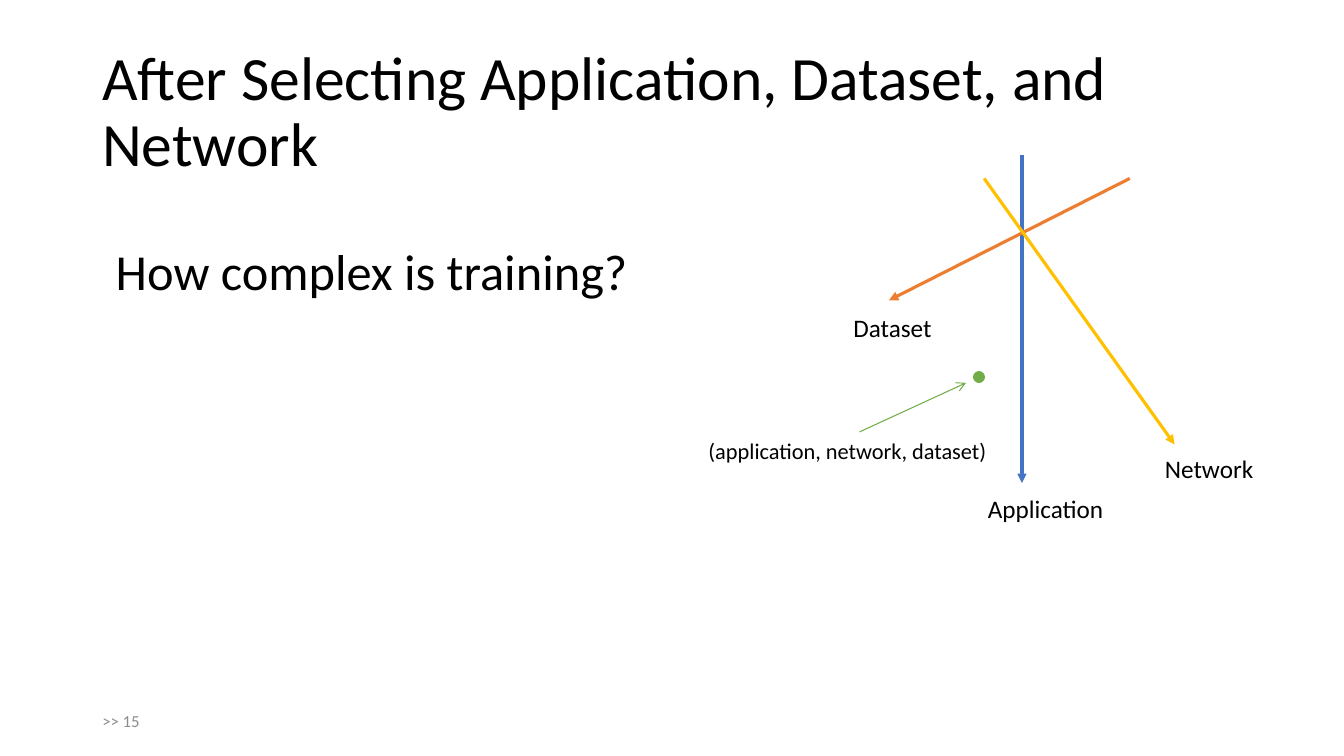
"""Build a slide showing application, dataset and network as three axes."""
from lxml import etree
from pptx import Presentation
from pptx.dml.color import RGBColor
from pptx.enum import shapes, text
from pptx.oxml import ns
from pptx.util import Pt

BLACK = RGBColor(0x00, 0x00, 0x00)
GRAY = RGBColor(0x8C, 0x8C, 0x8C)
BLUE = RGBColor(0x44, 0x72, 0xC4)
ORANGE = RGBColor(0xED, 0x7D, 0x31)
GOLD = RGBColor(0xFF, 0xC0, 0x00)
GREEN = RGBColor(0x70, 0xAD, 0x47)


class Deck:
    font = "Calibri"

    def __init__(self, width, height):
        self.prs = Presentation()
        self.prs.slide_width, self.prs.slide_height = Pt(width), Pt(height)
        self.s = self.prs.slides.add_slide(self.prs.slide_layouts[6])

    def text(self, words, box, size=18, color=BLACK, spacing=1.0,
             anchor=text.MSO_ANCHOR.TOP):
        tf = self.s.shapes.add_textbox(*map(Pt, box)).text_frame
        tf.word_wrap = True
        tf.vertical_anchor = anchor
        p = tf.paragraphs[0]
        p.line_spacing = spacing
        r = p.add_run()
        r.text = words
        r.font.name, r.font.size = self.font, Pt(size)
        r.font.color.rgb = color

    def arrow(self, start, end, color, width=2.25, head="triangle"):
        sp = self.s.shapes.add_connector(
            shapes.MSO_CONNECTOR.STRAIGHT, *map(Pt, start + end))
        sp.line.color.rgb = color
        sp.line.width = Pt(width)
        ln = sp.line._get_or_add_ln()
        etree.SubElement(ln, ns.qn("a:tailEnd"), type=head)
        etree.SubElement(sp._element.spPr, ns.qn("a:effectLst"))

    def dot(self, box, color):
        sp = self.s.shapes.add_shape(
            shapes.MSO_SHAPE.FLOWCHART_CONNECTOR, *map(Pt, box))
        sp.shadow.inherit = False
        sp.fill.solid()
        sp.fill.fore_color.rgb = color
        sp.line.fill.background()


def main():
    d = Deck(960, 540)
    middle = text.MSO_ANCHOR.MIDDLE
    d.text("After Selecting Application, Dataset, and Network",
           (66, 28.8, 828, 104.4), size=44, spacing=0.9, anchor=middle)
    d.text(">> 15", (66, 500.5, 216, 28.8), size=12, color=GRAY, anchor=middle)

    axes = [
        ("Application", (730, 111), (730, 345), BLUE, (698.5, 349, 104, 29)),
        ("Dataset", (807, 127.5), (635, 214.5), ORANGE, (602.5, 219.5, 77, 29)),
        ("Network", (703, 127.5), (839, 317.5), GOLD, (825, 320.5, 82, 29)),
    ]
    for name, start, end, color, box in axes:
        d.arrow(start, end, color)
        d.text(name, box)

    d.dot((695, 265, 8.6, 8.6), GREEN)
    d.arrow((614, 308.5), (690, 273.5), GREEN, width=0.75, head="arrow")
    d.text("How complex is training?", (75.6, 168, 418, 94), size=36)
    d.text("(application, network, dataset)", (499, 308.5, 230, 27), size=16)
    d.prs.save("out.pptx")


if __name__ == "__main__":
    main()
